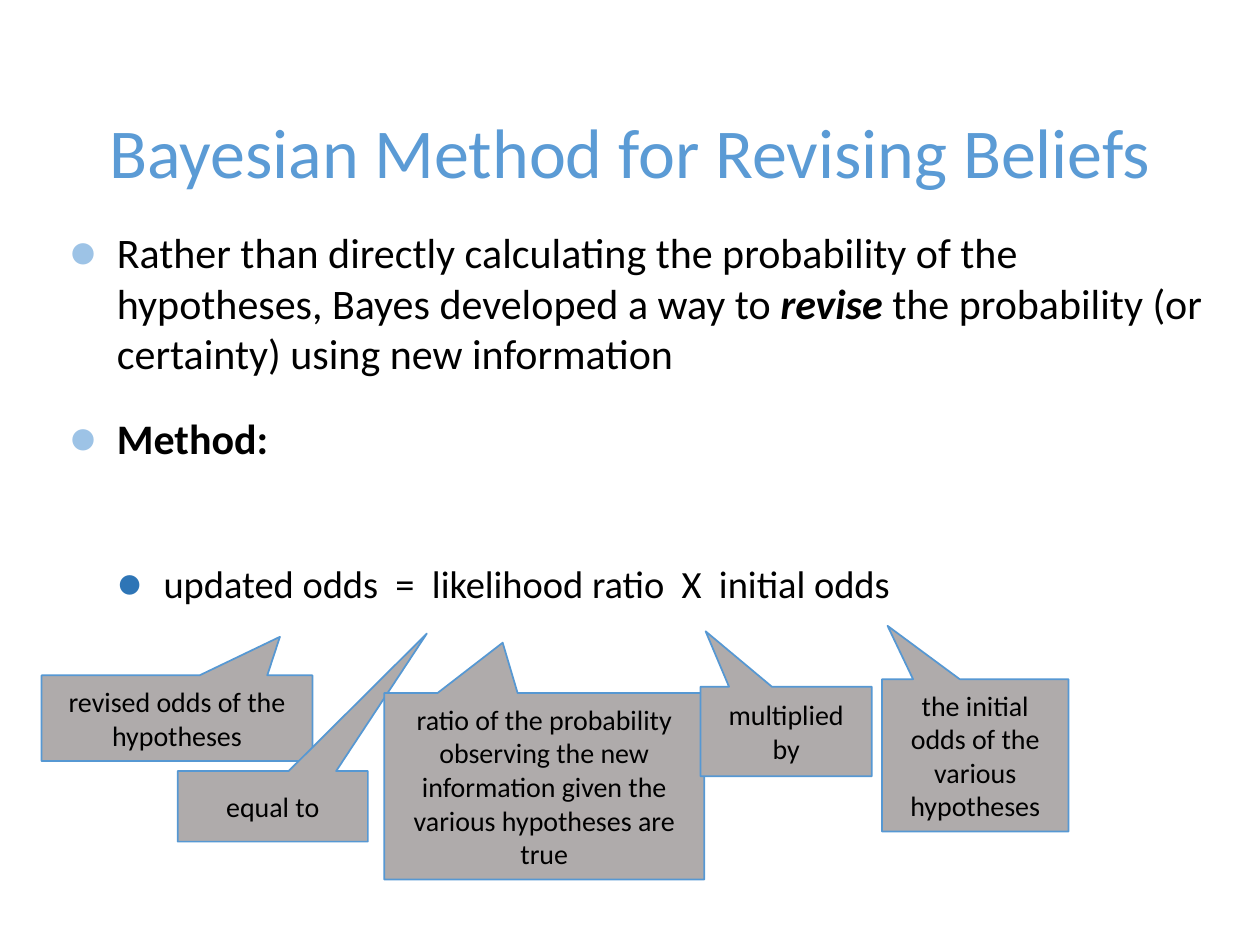
from dataclasses import dataclass

from lxml import etree
from pptx import Presentation
from pptx.dml.color import RGBColor
from pptx.enum.shapes import MSO_SHAPE
from pptx.enum.text import MSO_ANCHOR, PP_ALIGN
from pptx.oxml.ns import qn
from pptx.slide import Slide
from pptx.text.text import TextFrame, _Paragraph
from pptx.util import Inches, Pt

CALLOUT = MSO_SHAPE.RECTANGULAR_CALLOUT
CENTER = PP_ALIGN.CENTER
MIDDLE = MSO_ANCHOR.MIDDLE
BOTTOM = MSO_ANCHOR.BOTTOM

FONT = "Calibri"
BLACK = RGBColor(0x00, 0x00, 0x00)
TITLE_BLUE = RGBColor(0x5B, 0x9B, 0xD5)
LIGHT_BLUE = RGBColor(0x9D, 0xC3, 0xE6)
DARK_BLUE = RGBColor(0x2E, 0x75, 0xB6)
OUTLINE_BLUE = RGBColor(0x56, 0x98, 0xD3)
GRAY = RGBColor(0xAF, 0xAB, 0xAB)


@dataclass(frozen=True)
class Phrase:
    text: str
    bold: bool = False
    italic: bool = False


@dataclass(frozen=True)
class Point:
    phrases: tuple[Phrase, ...]
    size: int = 24
    space_before: int = 20
    level: int = 0
    indent: float = 0.38
    hanging: float = 0.38
    bullet_color: RGBColor = LIGHT_BLUE


@dataclass(frozen=True)
class Explanation:
    text: str
    left: float
    top: float
    width: float
    height: float
    tip: tuple[float, float]


POINTS = (
    Point((
        Phrase("Rather than directly calculating the probability of the "
               "hypotheses, Bayes developed a way to "),
        Phrase("revise", bold=True, italic=True),
        Phrase(" the probability (or certainty) using new information"),
    )),
    Point((Phrase("Method:", bold=True),)),
    Point((Phrase("updated odds  =  likelihood ratio  X  initial odds"),),
          size=22, space_before=55, level=1, indent=0.75, hanging=0.37,
          bullet_color=DARK_BLUE),
)

EXPLANATIONS = (
    Explanation("the initial odds of the various hypotheses",
                7, 5.39, 1.48, 1.21, (-0.47, -0.85)),
    Explanation("revised odds of the hypotheses",
                0.33, 5.36, 2.15, 0.68, (0.38, -0.95)),
    Explanation("equal to", 1.41, 6.12, 1.51, 0.56, (0.81, -2.45)),
    Explanation("ratio of the probability observing the new information "
                "given the various hypotheses are true",
                3.05, 5.5, 2.54, 1.48, (-0.13, -0.77)),
    Explanation("multiplied by", 5.56, 5.45, 1.36, 0.71, (-0.47, -1.12)),
)


def add_phrase(paragraph: _Paragraph, phrase: Phrase, size: int,
               color: RGBColor = BLACK) -> None:
    run = paragraph.add_run()
    run.text = phrase.text
    run.font.name = FONT
    run.font.size = Pt(size)
    run.font.bold = phrase.bold
    run.font.italic = phrase.italic
    run.font.color.rgb = color


def add_text_area(slide: Slide, left: float, top: float,
                  width: float, height: float) -> TextFrame:
    area = slide.shapes.add_textbox(
        Inches(left), Inches(top), Inches(width), Inches(height))
    area.text_frame.word_wrap = True
    return area.text_frame


def set_bullet(paragraph: _Paragraph, point: Point) -> None:
    properties = paragraph._p.get_or_add_pPr()
    properties.set("marL", str(Inches(point.indent)))
    properties.set("indent", str(-Inches(point.hanging)))
    bullet_fill = etree.SubElement(properties, qn("a:buClr"))
    etree.SubElement(bullet_fill, qn("a:srgbClr"), val=str(point.bullet_color))
    etree.SubElement(properties, qn("a:buSzPct"), val="110000")
    etree.SubElement(properties, qn("a:buFont"), typeface=FONT)
    etree.SubElement(properties, qn("a:buChar"), char="●")


def add_title(slide: Slide, text: str) -> None:
    frame = add_text_area(slide, 0.6, 0.12, 8.8, 1.46)
    frame.vertical_anchor = BOTTOM
    heading = frame.paragraphs[0]
    heading.alignment = CENTER
    add_phrase(heading, Phrase(text), 40, TITLE_BLUE)


def add_points(slide: Slide, points: tuple[Point, ...]) -> None:
    frame = add_text_area(slide, 0.45, 1.75, 9.23, 4.75)
    for index, point in enumerate(points):
        paragraph = frame.add_paragraph() if index else frame.paragraphs[0]
        paragraph.level = point.level
        paragraph.space_before = Pt(point.space_before)
        set_bullet(paragraph, point)
        for phrase in point.phrases:
            add_phrase(paragraph, phrase, point.size)


def add_explanation(slide: Slide, explanation: Explanation) -> None:
    callout = slide.shapes.add_shape(
        CALLOUT, Inches(explanation.left), Inches(explanation.top),
        Inches(explanation.width), Inches(explanation.height))
    callout.shadow.inherit = False
    callout.adjustments[0], callout.adjustments[1] = explanation.tip
    callout.fill.solid()
    callout.fill.fore_color.rgb = GRAY
    callout.line.color.rgb = OUTLINE_BLUE
    callout.line.width = Pt(1)
    frame = callout.text_frame
    frame.word_wrap = True
    frame.vertical_anchor = MIDDLE
    paragraph = frame.paragraphs[0]
    paragraph.alignment = CENTER
    add_phrase(paragraph, Phrase(explanation.text), 16)


def main() -> None:
    presentation = Presentation()
    presentation.slide_width = Inches(10)
    presentation.slide_height = Inches(7.5)
    slide = presentation.slides.add_slide(presentation.slide_layouts[6])
    add_title(slide, "Bayesian Method for Revising Beliefs")
    add_points(slide, POINTS)
    for explanation in EXPLANATIONS:
        add_explanation(slide, explanation)
    presentation.save("out.pptx")


if __name__ == "__main__":
    main()
